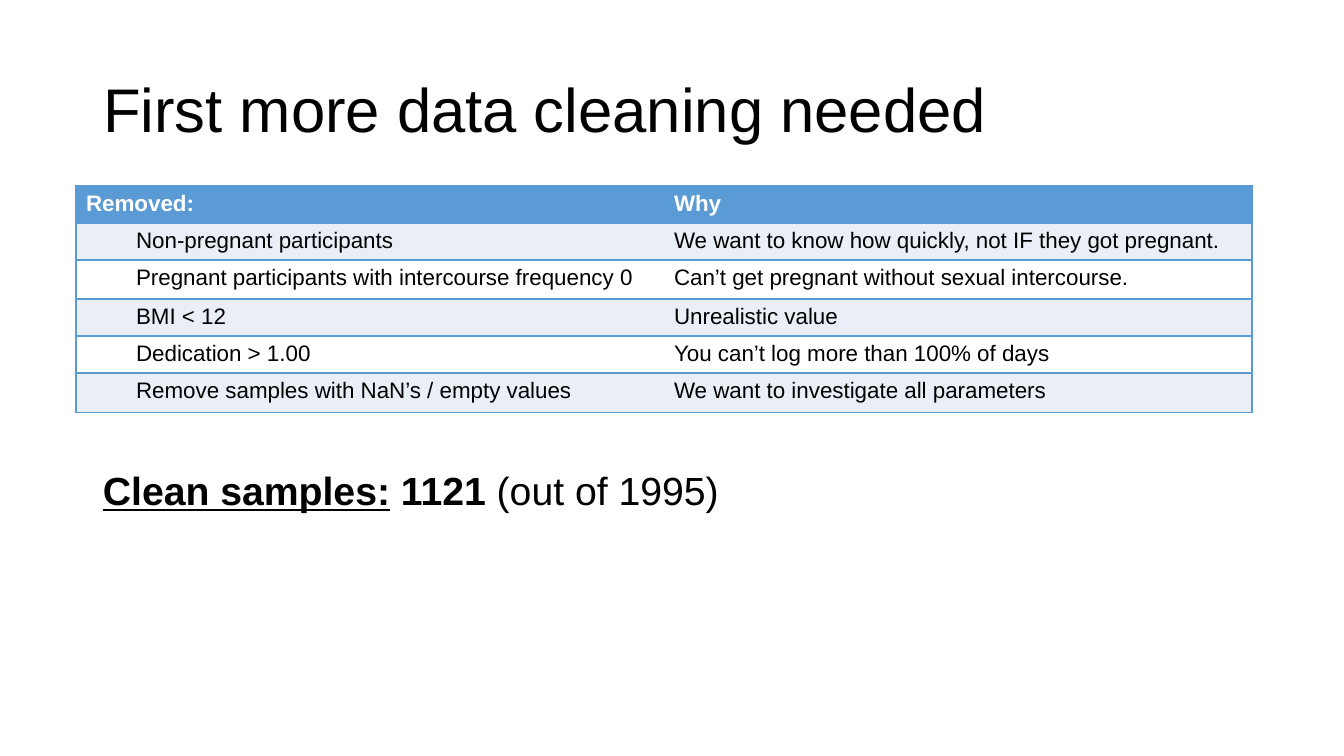
from typing import Any, NamedTuple

from lxml.etree import SubElement
from pptx import Presentation
from pptx.dml.color import RGBColor
from pptx.enum.text import MSO_ANCHOR, MSO_AUTO_SIZE, PP_ALIGN
from pptx.oxml.ns import qn
from pptx.util import Emu, Pt

PX_PER_INCH = 100.8
BLUE, PALE, WHITE, BLACK = "5B9BD5", "EAEFF7", "FFFFFF", "000000"
INDENT = 50


class Row(NamedTuple):
    removed: str
    why: str
    height: int


class Span(NamedTuple):
    text: str
    bold: bool = False
    underline: bool = False


ROWS = [
    Row("Removed:", "Why", 36),
    Row("Non-pregnant participants",
        "We want to know how quickly, not IF they got pregnant.", 35),
    Row("Pregnant participants with intercourse frequency 0",
        "Can’t get pregnant without sexual intercourse.", 39),
    Row("BMI < 12", "Unrealistic value", 35),
    Row("Dedication > 1.00", "You can’t log more than 100% of days", 35),
    Row("Remove samples with NaN’s / empty values",
        "We want to investigate all parameters", 40),
]
SUMMARY = [
    Span("Clean samples:", bold=True, underline=True),
    Span(" 1121", bold=True),
    Span(" (out of 1995)"),
]


def px(n: int) -> Emu:
    return Emu(round(n * 914400 / PX_PER_INCH))


def rgb(color: str) -> RGBColor:
    return RGBColor.from_string(color)


def set_attrs(target: Any, values: dict[str, Any]) -> None:
    for name, value in values.items():
        setattr(target, name, value)


def place(shape: Any, left: int, top: int, width: int, height: int) -> None:
    set_attrs(shape, {"left": px(left), "top": px(top),
                      "width": px(width), "height": px(height)})


def add_run(p: Any, span: Span, size: int, color: str = BLACK) -> None:
    r = p.add_run()
    r.text = span.text
    set_attrs(r.font, {"name": "Arial", "size": Pt(size), "bold": span.bold,
                       "underline": span.underline})
    r.font.color.rgb = rgb(color)


def add_border(cell: Any, side: str, visible: bool) -> None:
    ln = SubElement(cell._tc.get_or_add_tcPr(), qn(f"a:ln{side}"), w=str(Pt(1)))
    if visible:
        fill = SubElement(ln, qn("a:solidFill"))
        SubElement(fill, qn("a:srgbClr"), val=BLUE)
    else:
        SubElement(ln, qn("a:noFill"))


def fill_cell(cell: Any, text: str, row: int, col: int) -> None:
    header = row == 0
    for side in "LRTB":
        inner = side == "LR"[1 - col]
        add_border(cell, side, not inner)
    cell.fill.solid()
    cell.fill.fore_color.rgb = rgb(BLUE if header else (WHITE, PALE)[row % 2])
    p = cell.text_frame.paragraphs[0]
    if col == 0 and not header:
        p.level = 1
        p._p.get_or_add_pPr().set("marL", str(px(INDENT)))
    add_run(p, Span(text, bold=header), 16, WHITE if header else BLACK)


def add_title(s: Any, text: str) -> None:
    title = s.shapes.title
    place(title, 93, 40, 1159, 146)
    set_attrs(title.text_frame, {"auto_size": MSO_AUTO_SIZE.NONE, "word_wrap": True,
                                 "vertical_anchor": MSO_ANCHOR.MIDDLE})
    p = title.text_frame.paragraphs[0]
    set_attrs(p, {"alignment": PP_ALIGN.LEFT, "line_spacing": 0.9})
    add_run(p, Span(text), 44)


def add_removal_table(s: Any) -> None:
    height = sum(row.height for row in ROWS)
    table = s.shapes.add_table(len(ROWS), 2, px(76), px(186), px(1176), px(height)).table
    for i, row in enumerate(ROWS):
        table.rows[i].height = px(row.height)
        for j, text in enumerate((row.removed, row.why)):
            fill_cell(table.cell(i, j), text, i, j)


def add_summary(s: Any) -> None:
    tf = s.shapes.add_textbox(px(93), px(467), px(1159), px(215)).text_frame
    tf.word_wrap = True
    p = tf.paragraphs[0]
    set_attrs(p, {"line_spacing": 0.9, "space_before": Pt(10)})
    for span in SUMMARY:
        add_run(p, span, 28)


def main() -> None:
    prs = Presentation()
    set_attrs(prs, {"slide_width": px(1344), "slide_height": px(756)})
    s = prs.slides.add_slide(prs.slide_layouts[5])
    add_title(s, "First more data cleaning needed")
    add_summary(s)
    add_removal_table(s)
    prs.save("out.pptx")


if __name__ == "__main__":
    main()
